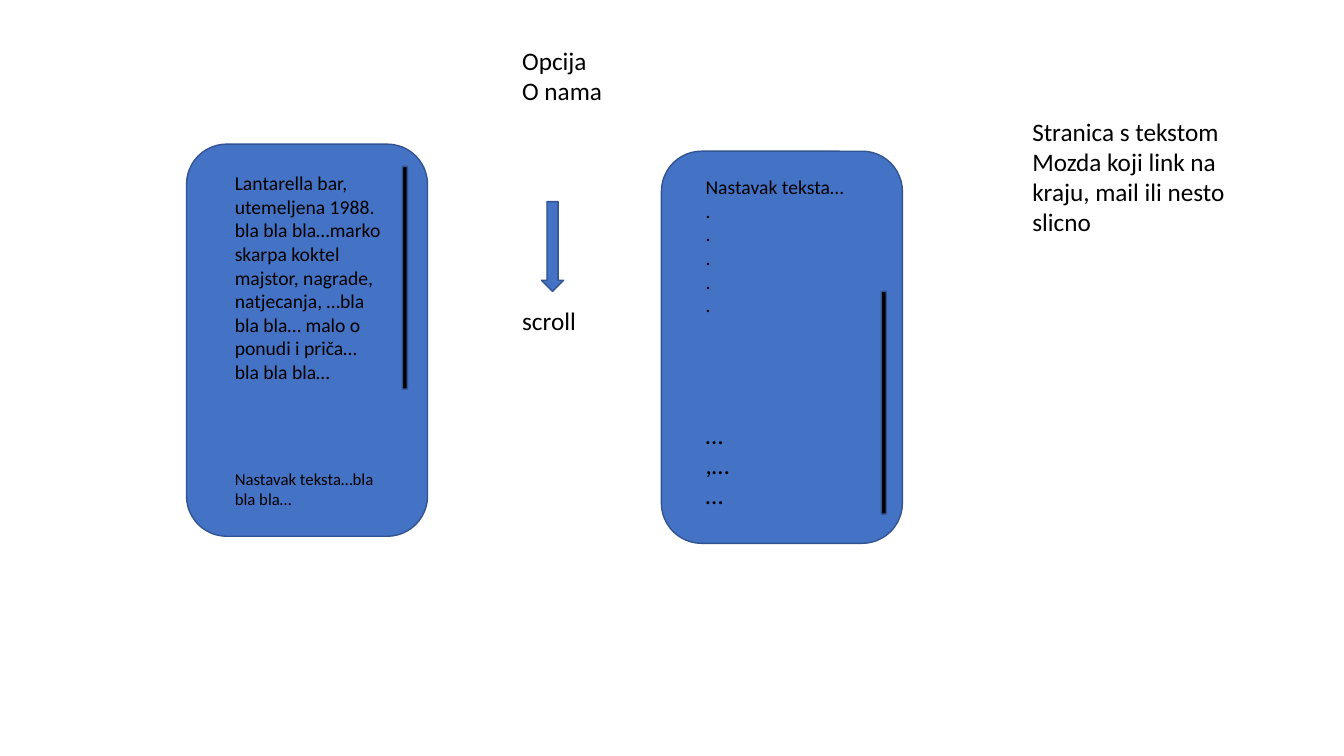
from dataclasses import dataclass

from pptx import Presentation
from pptx.dml.color import RGBColor
from pptx.enum.shapes import MSO_SHAPE
from pptx.enum.text import MSO_AUTO_SIZE
from pptx.slide import Slide
from pptx.util import Inches, Pt

BLUE = "4472C4"
OUTLINE = "325491"
BLACK = "000000"


@dataclass
class Block:
    kind: MSO_SHAPE
    left: float
    top: float
    width: float
    height: float
    fill: str = BLUE


@dataclass
class Note:
    left: float
    top: float
    width: float
    height: float
    lines: list[str]
    size: int = 18


def phone(left: float, top: float) -> Block:
    return Block(MSO_SHAPE.ROUNDED_RECTANGLE, left, top, 2.39, 3.89)


def scrollbar(left: float, top: float) -> Block:
    return Block(MSO_SHAPE.ROUNDED_RECTANGLE, left, top, 0.05, 2.21, BLACK)


BLOCKS = [
    phone(1.85, 1.43),
    phone(6.56, 1.5),
    scrollbar(3.99, 1.65),
    scrollbar(8.74, 2.89),
    Block(MSO_SHAPE.DOWN_ARROW, 5.37, 2, 0.22, 0.89),
]

INTRODUCTION = (
    "Lantarella bar, utemeljena 1988. bla bla bla…marko skarpa koktel majstor, "
    "nagrade, natjecanja, …bla bla bla… malo o ponudi i priča… bla bla bla…"
)

NOTES = [
    Note(5.08, 0.4, 1.58, 0.71, ["Opcija", "O nama"]),
    Note(2.23, 1.65, 1.65, 2.22, [INTRODUCTION], 14),
    Note(2.23, 4.6, 1.65, 0.5, ["Nastavak teksta…bla bla bla…"], 12),
    Note(6.9, 1.69, 2.2, 1.75, ["Nastavak teksta…"] + ["."] * 5, 14),
    Note(6.9, 4.11, 1.51, 1.01, ["…", ",…", "…"]),
    Note(5.08, 2.98, 1.32, 0.4, ["scroll"]),
    Note(10.14, 1.1, 2.2, 1.31,
         ["Stranica s tekstom", "Mozda koji link na kraju, mail ili nesto slicno"]),
]


def color(value: str) -> RGBColor:
    return RGBColor.from_string(value)


def draw_block(page: Slide, block: Block) -> None:
    bounds = map(Inches, (block.left, block.top, block.width, block.height))
    shape = page.shapes.add_shape(block.kind, *bounds)
    shape.shadow.inherit = False
    shape.fill.solid()
    shape.fill.fore_color.rgb = color(block.fill)
    shape.line.color.rgb = color(OUTLINE)
    shape.line.width = Pt(1)


def draw_note(page: Slide, note: Note) -> None:
    bounds = map(Inches, (note.left, note.top, note.width, note.height))
    frame = page.shapes.add_textbox(*bounds).text_frame
    frame.word_wrap = True
    frame.auto_size = MSO_AUTO_SIZE.SHAPE_TO_FIT_TEXT
    formats = {"name": "Calibri", "size": Pt(note.size)}
    for index, line in enumerate(note.lines):
        para = frame.add_paragraph() if index else frame.paragraphs[0]
        span = para.add_run()
        span.text = line
        for attribute, value in formats.items():
            setattr(span.font, attribute, value)
        span.font.color.rgb = color(BLACK)


def main() -> None:
    deck = Presentation()
    deck.slide_width = Inches(13.33)
    deck.slide_height = Inches(7.5)
    page = deck.slides.add_slide(deck.slide_layouts[6])
    for block in BLOCKS:
        draw_block(page, block)
    for note in NOTES:
        draw_note(page, note)
    deck.save("out.pptx")


if __name__ == "__main__":
    main()
